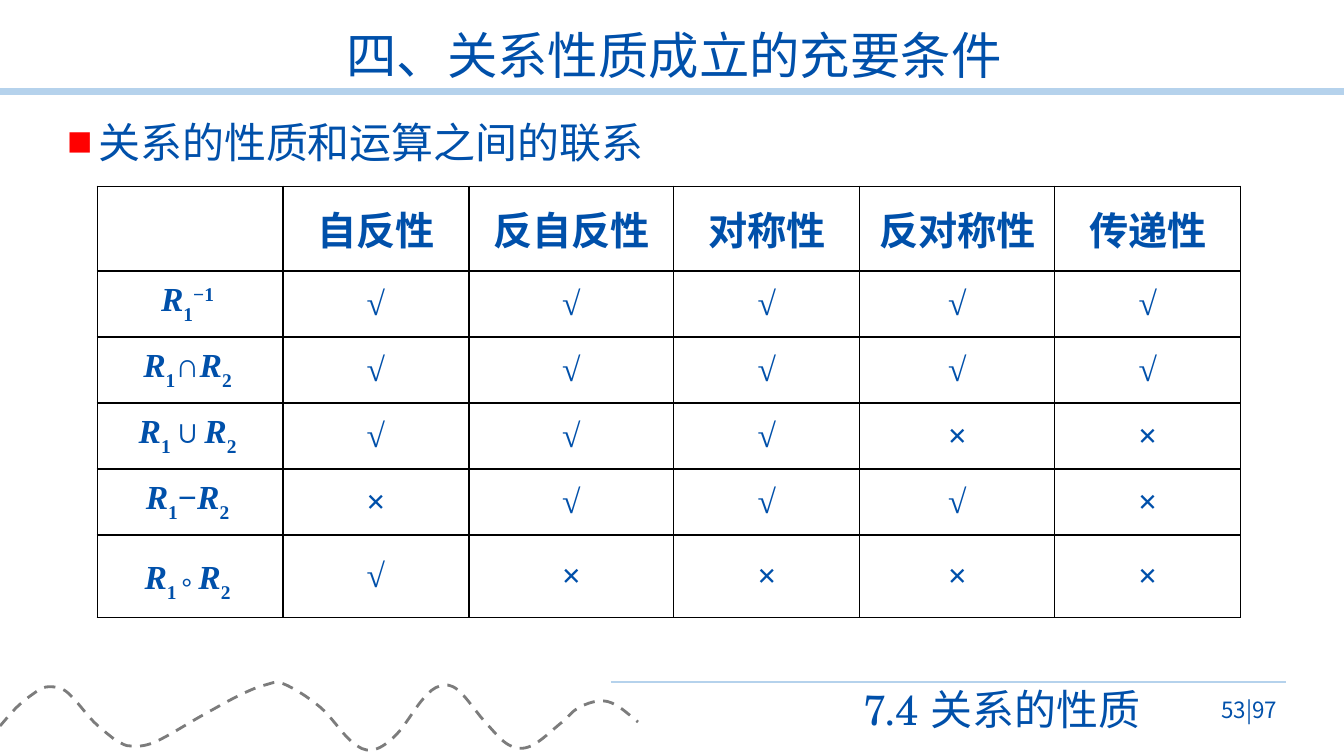
"""Build the slide on relation properties and the operations that preserve them."""
from lxml import etree
from pptx import Presentation
from pptx.dml.color import RGBColor
from pptx.enum.dml import MSO_LINE
from pptx.enum.shapes import MSO_CONNECTOR
from pptx.enum.text import MSO_ANCHOR, MSO_AUTO_SIZE, PP_ALIGN
from pptx.oxml.ns import qn
from pptx.util import Pt

TITLE = "四、关系性质成立的充要条件"
HEADING = "关系的性质和运算之间的联系"
SECTION = "7.4 关系的性质"
PAGE = "53|97"

PROPERTIES = ["自反性", "反自反性", "对称性", "反对称性", "传递性"]
R = ("R", {"italic": True})
SUB_1 = ("1", {"baseline": -30})
SUB_2 = ("2 ", {"baseline": -30})
OPERATIONS = [
    ([R, SUB_1, ("−1 ", {"baseline": 30})], "√√√√√"),
    ([R, SUB_1, ("∩", {}), R, SUB_2], "√√√√√"),
    ([R, SUB_1, ("∪", {}), R, SUB_2], "√√√××"),
    ([R, SUB_1, ("−", {}), R, SUB_2], "×√√√×"),
    ([R, ("1 ", {"baseline": -30}), ("° ", {"size": 32, "baseline": -16}), R, SUB_2], "√××××"),
]

SLIDE_SIZE = (1344, 756)
TITLE_BOX = (158, 25, 1032, 66)
HEADING_BOX = (57, 111, 1230, 61)
SECTION_BOX = (637, 678, 514, 61)
PAGE_BOX = (1181, 690, 106, 40)
TABLE_ORIGIN = (97, 186)
COLUMN_WIDTHS = [186, 186, 205, 186, 195, 186]
ROW_HEIGHTS = [85, 66, 66, 66, 66, 83]
RULES = [((0, 92), (1344, 92), 5), ((611, 682), (1286, 682), 1.75)]
WAVE = [
    (0, 726), (17, 707), (33, 694), (46, 687), (62, 689), (74, 699), (93, 721), (109, 735),
    (119, 742), (131, 746), (155, 742), (203, 715), (240, 695), (265, 685), (284, 684),
    (320, 707), (351, 741), (372, 750), (396, 735), (423, 699), (440, 686), (458, 690),
    (486, 723), (509, 745), (531, 746), (561, 723), (578, 708), (599, 701), (616, 705), (638, 722),
]

COLORS = {"text": "0050AA", "rule": "B5D2EC", "wave": "7C7C7C", "bullet": "FF0000", "border": "000000"}
SERIF, TABLE_FONT, SANS = "TeX Gyre Schola", "Times New Roman", "Noto Sans CJK SC"
CENTER, RIGHT, JUSTIFY = PP_ALIGN.CENTER, PP_ALIGN.RIGHT, PP_ALIGN.JUSTIFY
MIDDLE, TOP = MSO_ANCHOR.MIDDLE, MSO_ANCHOR.TOP
GROW, FIXED = MSO_AUTO_SIZE.SHAPE_TO_FIT_TEXT, MSO_AUTO_SIZE.NONE
STRAIGHT, DASH = MSO_CONNECTOR.STRAIGHT, MSO_LINE.DASH


def px(length):
    return round(length * 914400 / 100.8)


def color(name):
    return RGBColor.from_string(COLORS[name])


def add_run(paragraph, text, size=24, font=TABLE_FONT, bold=False, italic=False, baseline=0):
    run = paragraph.add_run()
    run.text = text
    run.font.size, run.font.name = Pt(size), font
    run.font.bold, run.font.italic = bold, italic
    run.font.color.rgb = color("text")
    properties = run.font._element
    etree.SubElement(properties, qn("a:ea"), typeface=SANS)
    if baseline:
        properties.set("baseline", str(baseline * 1000))


def set_bullet(paragraph, character=None, indent=0):
    properties = paragraph._p.get_or_add_pPr()
    properties.set("marL", str(px(indent)))
    properties.set("indent", str(-px(indent)))
    if character is None:
        etree.SubElement(properties, qn("a:buNone"))
        return
    bullet_color = etree.SubElement(properties, qn("a:buClr"))
    etree.SubElement(bullet_color, qn("a:srgbClr"), val=COLORS["bullet"])
    etree.SubElement(properties, qn("a:buChar"), char=character)


def write_box(shape, box, text, align=CENTER, anchor=TOP, fit=GROW, bullet=None, indent=0,
              spacing=1.0, **font):
    shape.left, shape.top, shape.width, shape.height = map(px, box)
    frame = shape.text_frame
    frame.word_wrap, frame.auto_size, frame.vertical_anchor = True, fit, anchor
    paragraph = frame.paragraphs[0]
    set_bullet(paragraph, bullet, indent)
    paragraph.alignment, paragraph.line_spacing, paragraph.space_before = align, spacing, Pt(0)
    add_run(paragraph, text, **font)


def set_borders(cell, outer_sides):
    cell.fill.background()
    properties = cell._tc.get_or_add_tcPr()
    for position, side in enumerate("LRTB"):
        width = Pt(0.75 if side in outer_sides else 1)
        line = etree.Element(qn(f"a:ln{side}"), w=str(width))
        fill = etree.SubElement(line, qn("a:solidFill"))
        etree.SubElement(fill, qn("a:srgbClr"), val=COLORS["border"])
        properties.insert(position, line)


def add_relation_table(slide):
    header = [[]] + [[(name, {"size": 28})] for name in PROPERTIES]
    rows = [header] + [[label] + [[(mark, {})] for mark in marks] for label, marks in OPERATIONS]
    last_row, last_column = len(rows) - 1, len(header) - 1
    size = (sum(COLUMN_WIDTHS), sum(ROW_HEIGHTS))
    frame = slide.shapes.add_table(len(rows), len(header), *map(px, TABLE_ORIGIN + size))
    table = frame.table
    table.first_row = table.horz_banding = False
    for column, width in zip(table.columns, COLUMN_WIDTHS):
        column.width = px(width)
    for row, height in zip(table.rows, ROW_HEIGHTS):
        row.height = px(height)
    for row_index, row in enumerate(rows):
        for column_index, runs in enumerate(row):
            cell = table.cell(row_index, column_index)
            cell.vertical_anchor = MIDDLE
            cell.margin_left = cell.margin_right = px(4)
            cell.margin_top = cell.margin_bottom = px(5)
            paragraph = cell.text_frame.paragraphs[0]
            paragraph.alignment = CENTER
            for text, style in runs:
                add_run(paragraph, text, bold=True, **style)
            edges = {"L": column_index == 0, "R": column_index == last_column,
                     "T": row_index == 0, "B": row_index == last_row}
            set_borders(cell, [side for side, is_outer in edges.items() if is_outer])


def bend_segments(shape, knots):
    padded = [knots[0]] + knots + [knots[-1]]
    segments = list(shape._element.iter(qn("a:lnTo")))
    neighbours = zip(padded, padded[1:], padded[2:], padded[3:])
    for segment, (before, start, end, after) in zip(segments, neighbours):
        leave = [s + (e - b) / 6 for b, s, e in zip(before, start, end)]
        arrive = [e - (a - s) / 6 for s, e, a in zip(start, end, after)]
        curve = etree.Element(qn("a:cubicBezTo"))
        for x, y in (leave, arrive, end):
            etree.SubElement(curve, qn("a:pt"), x=str(px(x) - shape.left), y=str(px(y) - shape.top))
        segment.getparent().replace(segment, curve)


def add_wave(slide):
    points = [(px(x), px(y)) for x, y in WAVE]
    builder = slide.shapes.build_freeform(*points[0])
    builder.add_line_segments(points[1:], close=False)
    wave = builder.convert_to_shape()
    bend_segments(wave, WAVE)
    wave.shadow.inherit = False
    wave.fill.background()
    wave.line.color.rgb = color("wave")
    wave.line.width, wave.line.dash_style = Pt(2), DASH


def add_rule(slide, start, end, width):
    rule = slide.shapes.add_connector(STRAIGHT, *map(px, start + end))
    rule.line.color.rgb = color("rule")
    rule.line.width = Pt(width)
    etree.SubElement(rule._element.spPr, qn("a:effectLst"))


def main():
    presentation = Presentation()
    presentation.slide_width, presentation.slide_height = map(px, SLIDE_SIZE)
    slide = presentation.slides.add_slide(presentation.slide_layouts.get_by_name("Two Content"))
    title, heading, section = slide.placeholders
    for rule in RULES:
        add_rule(slide, *rule)
    add_wave(slide)
    write_box(title, TITLE_BOX, TITLE, anchor=MIDDLE, spacing=0.9, size=36, font=SERIF)
    write_box(heading, HEADING_BOX, HEADING, align=JUSTIFY, bullet="■", indent=31, size=30, font=SERIF)
    write_box(section, SECTION_BOX, SECTION, align=RIGHT, size=30, font=SERIF)
    add_relation_table(slide)
    page = slide.shapes.add_textbox(*map(px, PAGE_BOX))
    write_box(page, PAGE_BOX, PAGE, align=RIGHT, anchor=MIDDLE, fit=FIXED, size=16, font=SANS)
    presentation.save("out.pptx")


if __name__ == "__main__":
    main()
